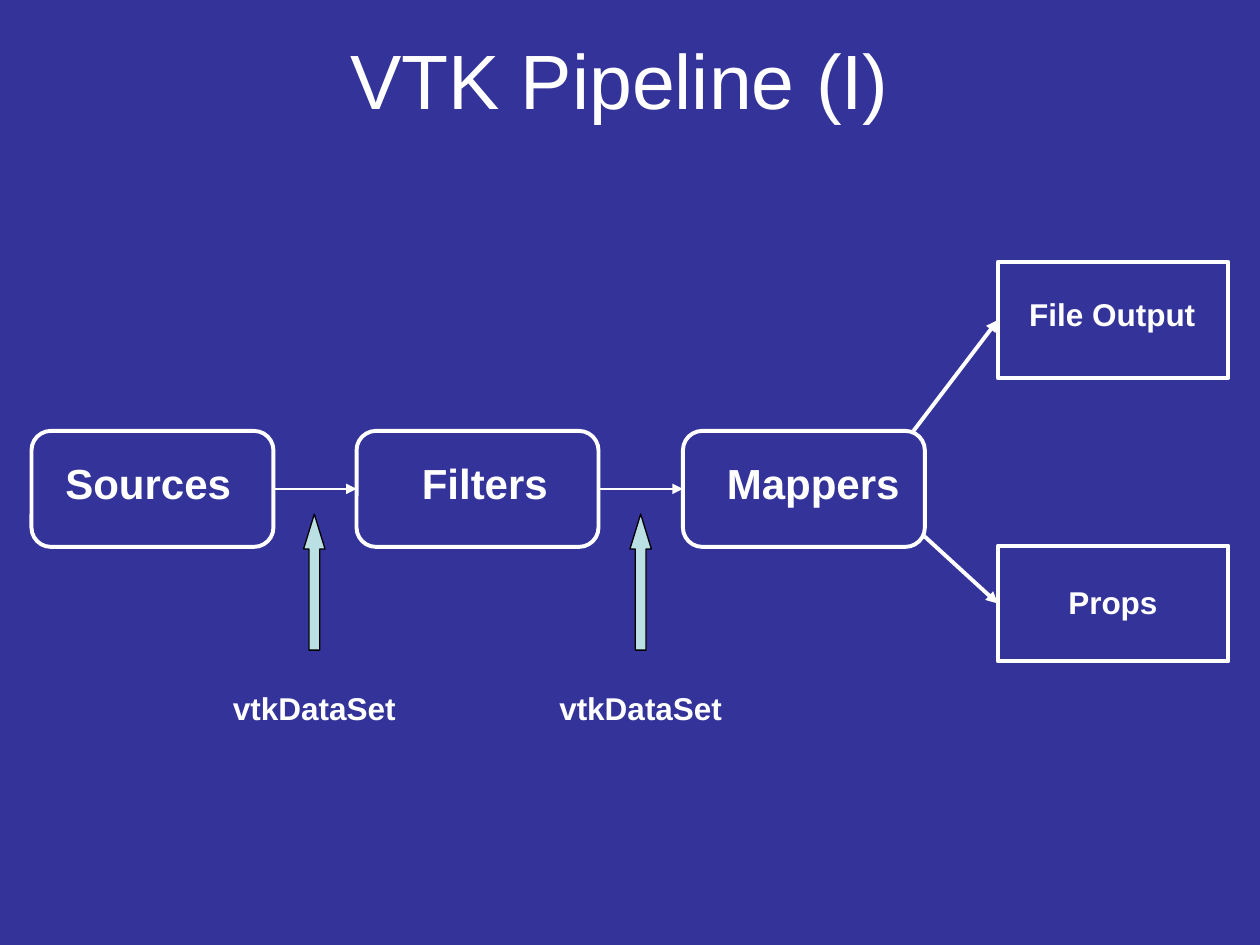
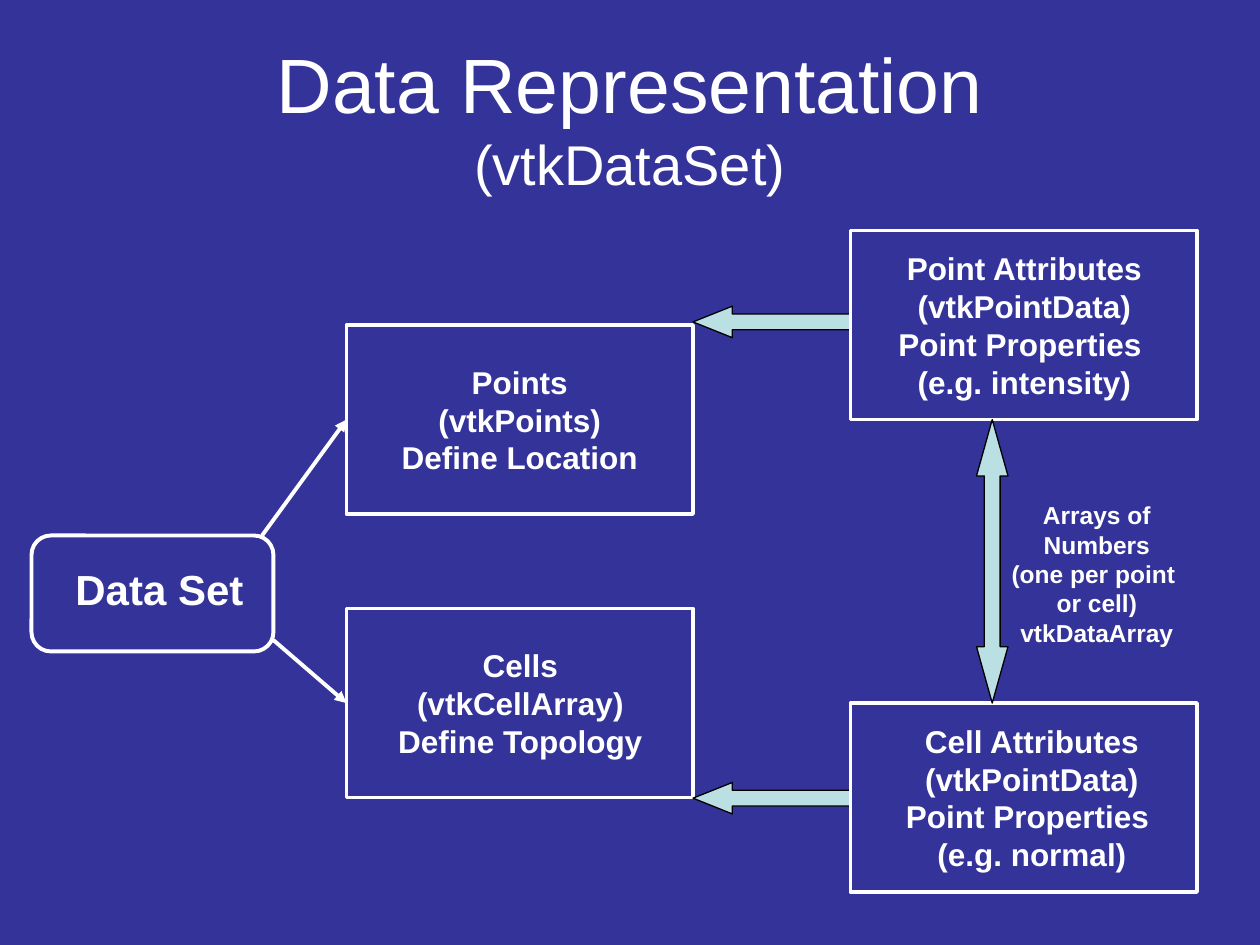
from lxml import etree
from pptx import Presentation
from pptx import util as u
from pptx.dml.color import RGBColor
from pptx.enum import shapes, text
from pptx.oxml import ns

BACKGROUND, WHITE, PALE_BLUE, BLACK = "333399", "FFFFFF", "BBE0E3", "000000"
SHAPE = shapes.MSO_SHAPE
LEFT, CENTER = text.PP_ALIGN.LEFT, text.PP_ALIGN.CENTER
LEFT_SIDE, RIGHT_SIDE = 1, 3
LABEL_SLACK = 0.2


def color(value):
    return RGBColor.from_string(value)


def inches(values):
    return [u.Inches(value) for value in values]


class Style:
    font = "Arial"

    def __init__(self, deck):
        self.deck = deck
        self.page = None
        fill = deck.slide_master.background.fill
        fill.solid()
        fill.fore_color.rgb = color(BACKGROUND)

    def format_span(self, span, size, bold):
        formats = {"name": self.font, "size": u.Pt(size), "bold": bold}
        for name, value in formats.items():
            setattr(span.font, name, value)
        span.font.color.rgb = color(WHITE)

    def format_frame(self, frame, **formats):
        for name, value in formats.items():
            setattr(frame, name, value)

    def new_page(self, at, *lines):
        """Start a titled slide; each title line is a (words, size) pair."""
        self.page = self.deck.slides.add_slide(self.deck.slide_layouts[5])
        title = self.page.shapes.title
        title.left, title.top, title.width, title.height = inches(at)
        frame = title.text_frame
        self.format_frame(frame, word_wrap=True,
                          auto_size=text.MSO_AUTO_SIZE.NONE,
                          vertical_anchor=text.MSO_ANCHOR.MIDDLE)
        para = frame.paragraphs[0]
        para.alignment = CENTER
        for number, (words, size) in enumerate(lines):
            if number:
                para.add_line_break()
            span = para.add_run()
            span.text = words
            self.format_span(span, size, False)

    def shape(self, kind, at, line, weight):
        box = self.page.shapes.add_shape(kind, *inches(at))
        box.shadow.inherit = False
        box.line.color.rgb = color(line)
        box.line.width = u.Pt(weight)
        return box

    def outline(self, at, kind=SHAPE.RECTANGLE):
        box = self.shape(kind, at, WHITE, 2.25)
        box.fill.background()
        return box

    def rounded(self, left, top):
        return self.outline((left, top, 1.92, 0.92), SHAPE.ROUNDED_RECTANGLE)

    def block_arrow(self, kind, at, head):
        """Draw a half-width shaft; head is its length over the arrow's width."""
        arrow = self.shape(kind, at, BLACK, 0.75)
        arrow.fill.solid()
        arrow.fill.fore_color.rgb = color(PALE_BLUE)
        geometry = arrow._element.spPr.find(ns.qn("a:prstGeom"))
        guides = geometry.find(ns.qn("a:avLst"))
        for guide in list(guides):
            guides.remove(guide)
        for name, value in (("adj1", 0.5), ("adj2", head)):
            etree.SubElement(guides, ns.qn("a:gd"), name=name,
                             fmla=f"val {round(value * 100000)}")

    def label(self, at, lines, size=18, align=CENTER):
        """Write lines in a box widened so that none of them wraps."""
        left, top, width, height = at
        if align == CENTER:
            left -= LABEL_SLACK / 2
        box = self.page.shapes.add_textbox(
            *inches((left, top, width + LABEL_SLACK, height)))
        frame = box.text_frame
        self.format_frame(frame, word_wrap=True,
                          auto_size=text.MSO_AUTO_SIZE.SHAPE_TO_FIT_TEXT)
        for number, words in enumerate(lines):
            para = frame.add_paragraph() if number else frame.paragraphs[0]
            para.alignment = align
            span = para.add_run()
            span.text = words
            self.format_span(span, size, True)

    def arrow_into(self, target, start=(0, 0), source=None, weight=2.25):
        """Point at the target's left side, from a source box or a free start."""
        begin = inches(start)
        line = self.page.shapes.add_connector(
            shapes.MSO_CONNECTOR.STRAIGHT, *begin, *begin)
        if source is not None:
            line.begin_connect(source, RIGHT_SIDE)
        line.end_connect(target, LEFT_SIDE)
        line.line.color.rgb = color(WHITE)
        line.line.width = u.Pt(weight)
        etree.SubElement(line.line._get_or_add_ln(), ns.qn("a:tailEnd"),
                         type="triangle")
        etree.SubElement(line._element.spPr, ns.qn("a:effectLst"))


def build_pipeline(style):
    style.new_page((0.42, 0, 9, 1.25), ("VTK Pipeline (I)", 44))
    stages = [style.rounded(left, 3.42) for left in (0.25, 2.83, 5.42)]
    for source, target in zip(stages, stages[1:]):
        style.arrow_into(target, source=source, weight=1.5)
    for words, left, width in (("Sources", 0.42, 1.51),
                               ("Filters", 3.25, 1.2),
                               ("Mappers", 5.67, 1.57)):
        style.label((left, 3.58, width, 0.5), [words], 24, LEFT)

    outputs = (("File Output", 2.08, (8.07, 2.29, 1.52, 0.4), (7.25, 3.42)),
               ("Props", 4.33, (8.38, 4.58, 0.91, 0.4), (7.33, 4.25)))
    for words, top, label_at, start in outputs:
        output = style.outline((7.92, top, 1.83, 0.92))
        style.label(label_at, [words], align=LEFT)
        style.arrow_into(output, start)

    for left in (2.41, 5):
        style.block_arrow(SHAPE.UP_ARROW, (left, 4.08, 0.17, 1.08), 1.63)
        style.label((left - 0.66, 5.42, 1.49, 0.4), ["vtkDataSet"], align=LEFT)


def build_data_representation(style):
    style.new_page((0.5, 0.3, 9, 1.25),
                   ("Data Representation", 44), ("(vtkDataSet)", 32))
    style.rounded(0.25, 4.25)
    style.label((0.5, 4.42, 1.53, 0.5), ["Data Set"], 24, LEFT)

    parts = (
        (2.58, (3.09, 2.07), (2.08, 4.25),
         ["Points", "(vtkPoints)", "Define Location"]),
        (4.83, (3.05, 2.16), (2.17, 5.08),
         ["Cells", "(vtkCellArray)", "Define Topology"]),
    )
    for top, (left, width), start, lines in parts:
        part = style.outline((2.75, top, 2.75, 1.5))
        style.label((left, top + 0.25, width, 1), lines)
        style.arrow_into(part, start)

    attributes = (("Point", "intensity", 1.83, 7.03, 2.43),
                  ("Cell", "normal", 5.58, 7.09, 6.21))
    for owner, example, top, label_left, arrow_top in attributes:
        style.block_arrow(SHAPE.LEFT_ARROW, (5.5, arrow_top, 1.25, 0.25), 1.25)
        style.outline((6.75, top, 2.75, 1.5))
        style.label((label_left, top + 0.1, 2.2, 1.3),
                    [f"{owner} Attributes", "(vtkPointData)",
                     "Point Properties ", f"(e.g. {example})"])

    style.block_arrow(SHAPE.UP_DOWN_ARROW, (7.75, 3.33, 0.25, 2.25), 1.79)
    style.label((7.83, 3.92, 1.75, 1.27),
                ["Arrays of", "Numbers", "(one per point ", "or cell)",
                 "vtkDataArray"], 14)


def main():
    deck = Presentation()
    deck.slide_width, deck.slide_height = inches((10, 7.5))
    style = Style(deck)
    build_pipeline(style)
    build_data_representation(style)
    deck.save("out.pptx")


if __name__ == "__main__":
    main()
